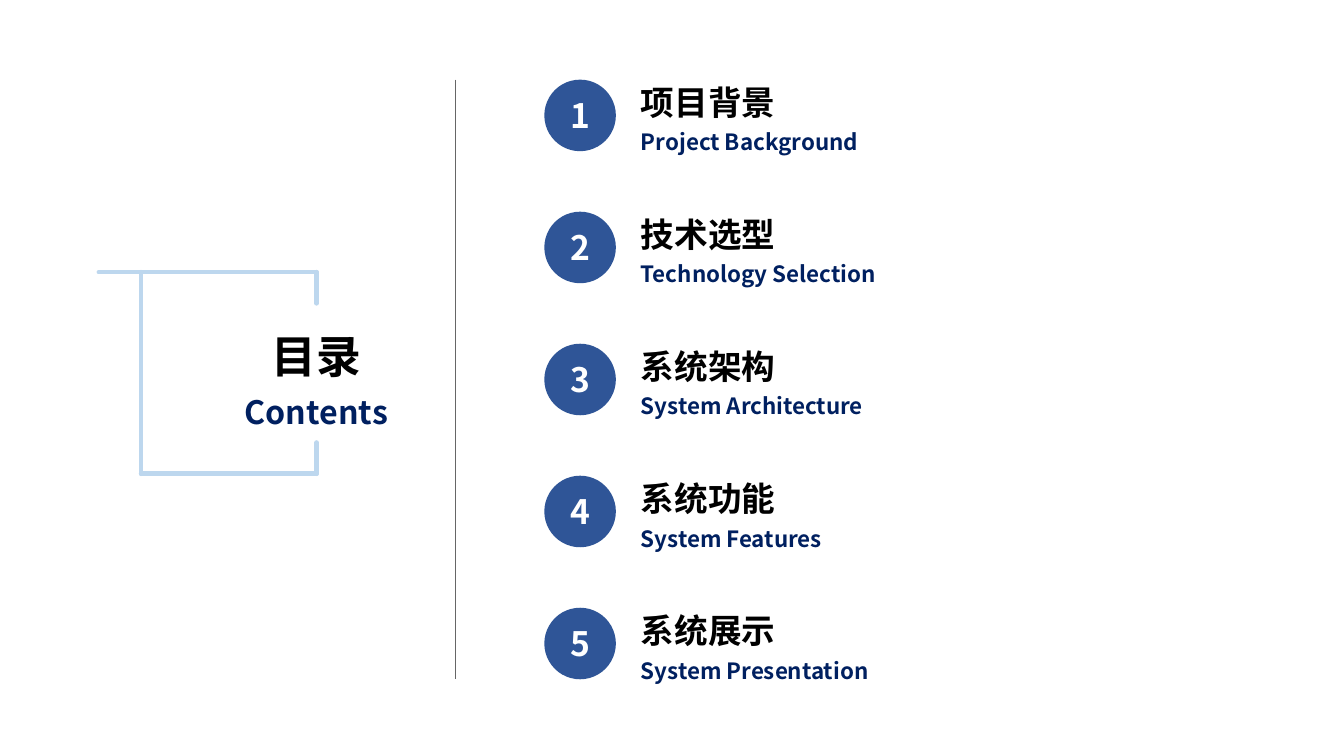
"""Build the bilingual contents slide with five numbered chapters."""
from dataclasses import dataclass

from lxml.etree import SubElement
from pptx import Presentation
from pptx.dml.color import RGBColor as Color
from pptx.enum.shapes import MSO_CONNECTOR as Connector, MSO_SHAPE as Shape
from pptx.enum.text import MSO_ANCHOR as Anchor, MSO_AUTO_SIZE as AutoSize, PP_ALIGN as Align
from pptx.oxml.ns import qn
from pptx.util import Pt


@dataclass(frozen=True)
class Theme:
    font: str = "Noto Sans CJK SC"
    ink: str = "000000"
    navy: str = "002060"
    badge: str = "2F5597"
    badge_text: str = "FFFFFF"
    frame: str = "BDD7EE"
    divider: str = "666666"
    title_size: float = 32
    subtitle_size: float = 23
    chapter_size: float = 24
    caption_size: float = 16
    line_spacing: float = 1.25


def write_text(paragraph, text, *, font, size, color, align=Align.LEFT, spacing=1.0):
    paragraph.alignment = align
    paragraph.line_spacing = spacing
    paragraph.space_before = paragraph.space_after = Pt(0)
    run = paragraph.add_run()
    run.text = text
    run.font.name = font
    run.font.size = Pt(size)
    run.font.bold = True
    run.font.color.rgb = Color.from_string(color)
    SubElement(run.font._element, qn("a:ea"), typeface=font)


class ContentsSlide:
    def __init__(self, slide, theme):
        self.slide = slide
        self.theme = theme

    def bilingual(self, shape, chinese, english, sizes, align=Align.LEFT):
        frame = shape.text_frame
        frame.word_wrap = True
        frame.auto_size = AutoSize.NONE
        frame.vertical_anchor = Anchor.TOP
        colors = (self.theme.ink, self.theme.navy)
        paragraphs = (frame.paragraphs[0], frame.add_paragraph())
        for paragraph, text, size, color in zip(paragraphs, (chinese, english), sizes, colors):
            write_text(paragraph, text, font=self.theme.font, size=size, color=color,
                       align=align, spacing=self.theme.line_spacing)

    def title(self, chinese, english, left, top, width, height):
        title = self.slide.shapes.title
        title.left, title.top, title.width, title.height = map(Pt, (left, top, width, height))
        sizes = (self.theme.title_size, self.theme.subtitle_size)
        self.bilingual(title, chinese, english, sizes, Align.CENTER)

    def chapter(self, chinese, english, left, top, width, height):
        box = self.slide.shapes.add_textbox(*map(Pt, (left, top, width, height)))
        self.bilingual(box, chinese, english, (self.theme.chapter_size, self.theme.caption_size))

    def badge(self, number, left, top, diameter):
        badge = self.slide.shapes.add_shape(Shape.OVAL, *map(Pt, (left, top, diameter, diameter)))
        badge.shadow.inherit = False
        badge.fill.solid()
        badge.fill.fore_color.rgb = Color.from_string(self.theme.badge)
        badge.line.fill.background()
        badge.text_frame.vertical_anchor = Anchor.MIDDLE
        write_text(badge.text_frame.paragraphs[0], str(number), font=self.theme.font,
                   size=self.theme.chapter_size, color=self.theme.badge_text, align=Align.CENTER)

    def line(self, start, end, color, width, cap="flat"):
        points = map(Pt, (*start, *end))
        connector = self.slide.shapes.add_connector(Connector.STRAIGHT, *points)
        connector.line.color.rgb = Color.from_string(color)
        connector.line.width = Pt(width)
        connector.line._get_or_add_ln().set("cap", cap)
        SubElement(connector._element.spPr, qn("a:effectLst"))


def main():
    presentation = Presentation()
    presentation.slide_width, presentation.slide_height = Pt(960), Pt(540)
    theme = Theme()
    page = ContentsSlide(presentation.slides.add_slide(presentation.slide_layouts[5]), theme)

    page.title("目录", "Contents", 148.3, 221.8, 155.5, 92.2)
    page.line((325.4, 56.9), (325.4, 485.3), theme.divider, 0.5)

    tail, left, right, top, bottom, stub = 70.6, 100.8, 226.1, 194.4, 338.4, 22.3
    frame_lines = (
        ((tail, top), (right, top)),
        ((left, bottom), (right, bottom)),
        ((left, top), (left, bottom)),
        ((right, top), (right, top + stub)),
        ((right, bottom - stub), (right, bottom)),
    )
    for start, end in frame_lines:
        page.line(start, end, theme.frame, 3.25, cap="rnd")

    chapters = (
        ("项目背景", "Project Background"),
        ("技术选型", "Technology Selection"),
        ("系统架构", "System Architecture"),
        ("系统功能", "System Features"),
        ("系统展示", "System Presentation"),
    )
    first_top, pitch = 56.9, 94.3
    for index, (chinese, english) in enumerate(chapters):
        row_top = first_top + index * pitch
        page.badge(index + 1, 388.8, row_top, 51.1)
        page.chapter(chinese, english, 450.7, row_top - 9.4, 409, 65.5)

    presentation.save("out.pptx")


if __name__ == "__main__":
    main()
